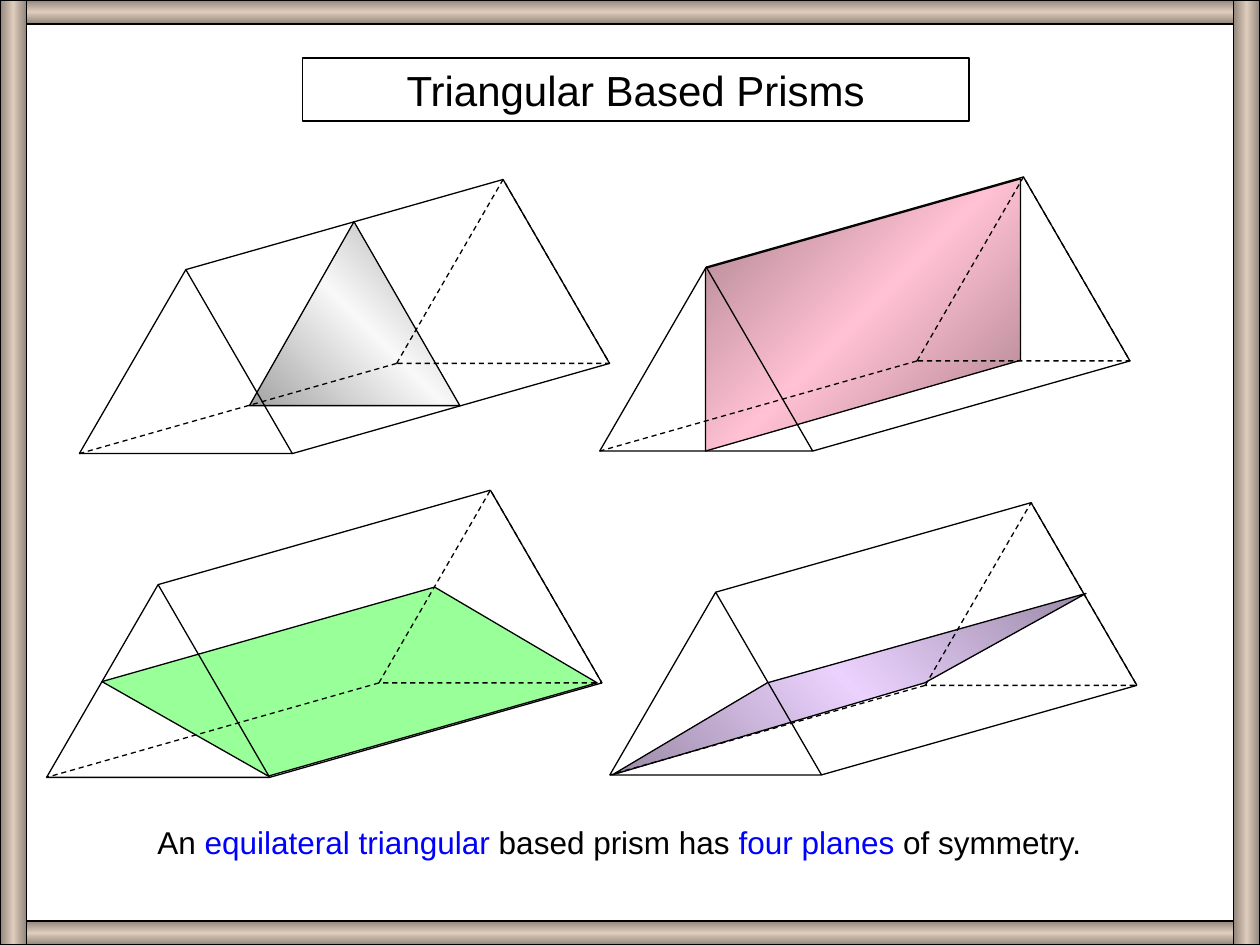
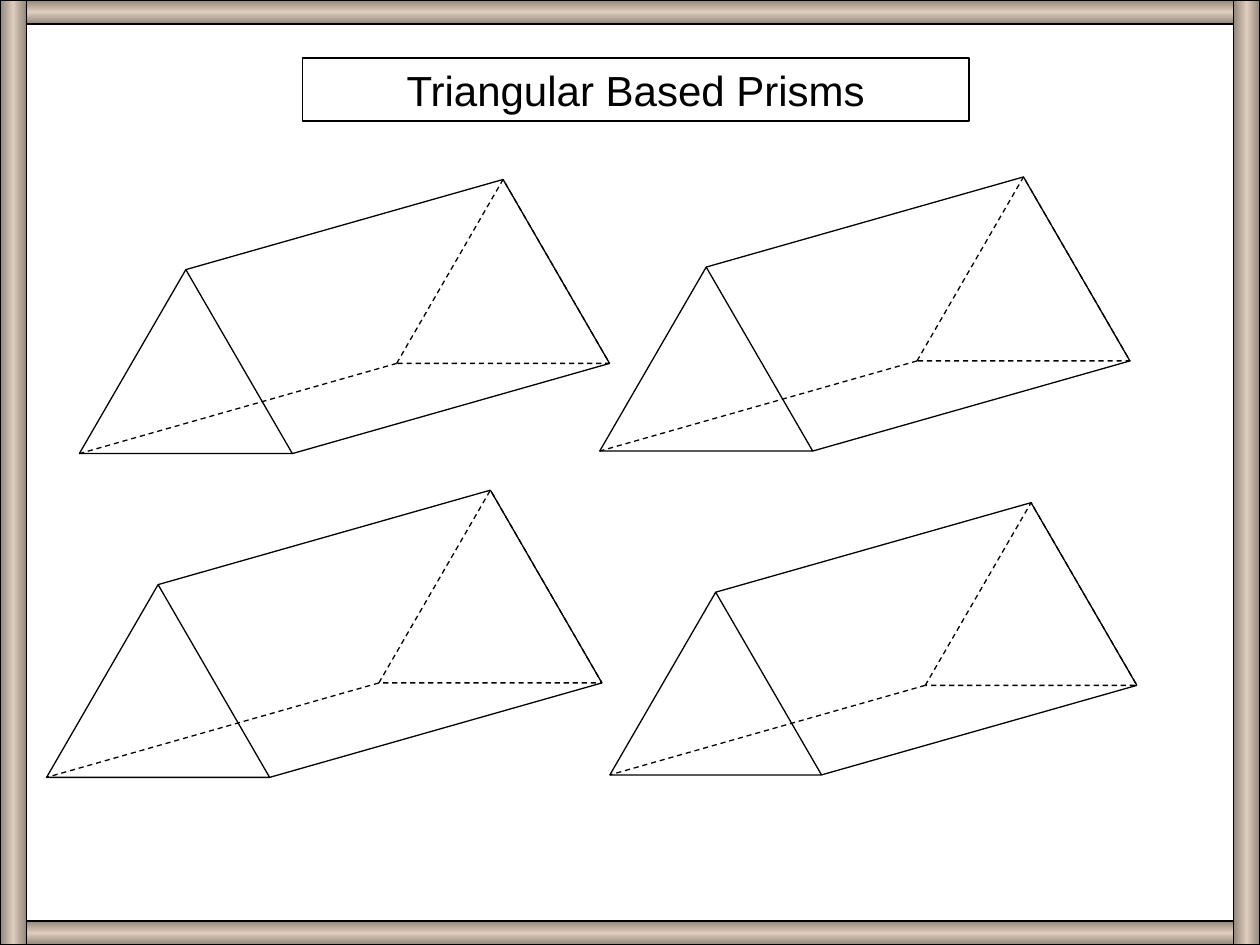
from copy import deepcopy
from dataclasses import dataclass
from typing import Optional

from lxml.etree import SubElement
from pptx import Presentation
from pptx.dml.color import RGBColor
from pptx.enum.dml import MSO_LINE_DASH_STYLE as Dash
from pptx.enum.shapes import MSO_CONNECTOR_TYPE as ConnectorType, MSO_SHAPE as Shape
from pptx.enum.text import MSO_ANCHOR as Anchor, MSO_AUTO_SIZE as AutoSize, PP_ALIGN as Align
from pptx.oxml.ns import qn
from pptx.util import Inches, Pt

FONT = "Arial"
BLACK = RGBColor(0x00, 0x00, 0x00)
BLUE = RGBColor(0x00, 0x00, 0xFF)
FRAME_EDGE = RGBColor(0x92, 0x86, 0x7C)
FRAME_MIDDLE = RGBColor(0xDE, 0xCC, 0xBC)
GREY_EDGE = RGBColor(0xA3, 0xA3, 0xA3)
GREY_MIDDLE = RGBColor(0xF8, 0xF8, 0xF8)
PINK_EDGE = RGBColor(0xA8, 0x7F, 0x8B)
PINK_MIDDLE = RGBColor(0xFF, 0xC1, 0xD3)
GREEN = RGBColor(0x99, 0xFF, 0x99)
VIOLET_EDGE = RGBColor(0x9B, 0x8A, 0xA7)
VIOLET_MIDDLE = RGBColor(0xEB, 0xD2, 0xFE)

SLIDE_WIDTH, SLIDE_HEIGHT = 10, 7.5
BAND_HEIGHT, BAND_WIDTH = 0.19, 0.21
# Offset of a prism's back face, as a share of its front face's size
DEPTH_X, DEPTH_Y = 1.49, -0.49

Point = tuple[float, float]


@dataclass(frozen=True)
class Gradient:
    """A gradient with equal ends; the angle runs clockwise in degrees."""
    edge: RGBColor
    middle: RGBColor
    angle: int


@dataclass(frozen=True)
class SymmetryPlane:
    corners: list[Point]
    paint: Gradient | RGBColor


@dataclass(frozen=True)
class Prism:
    """A prism placed by the box of its front triangle."""
    left: float
    top: float
    width: float
    height: float
    plane: SymmetryPlane


PRISMS = [
    Prism(0.63, 2.14, 1.69, 1.46, SymmetryPlane(
        [(1.98, 3.22), (2.81, 1.76), (3.65, 3.22)],
        Gradient(GREY_EDGE, GREY_MIDDLE, 135))),
    Prism(4.76, 2.12, 1.69, 1.46, SymmetryPlane(
        [(5.6, 2.13), (5.6, 3.58), (8.1, 2.86), (8.1, 1.42)],
        Gradient(PINK_EDGE, PINK_MIDDLE, 225))),
    Prism(0.37, 4.64, 1.77, 1.53, SymmetryPlane(
        [(0.81, 5.41), (3.45, 4.66), (4.74, 5.42), (2.13, 6.16)], GREEN)),
    Prism(4.84, 4.7, 1.68, 1.45, SymmetryPlane(
        [(6.09, 5.42), (8.62, 4.71), (7.34, 5.42), (4.86, 6.15)],
        Gradient(VIOLET_EDGE, VIOLET_MIDDLE, 135))),
]
CAPTION = [
    ("An ", BLACK),
    ("equilateral triangular", BLUE),
    (" based prism has ", BLACK),
    ("four planes", BLUE),
    (" of symmetry.", BLACK),
]


def style_line(line, dashed: bool = False) -> None:
    line.color.rgb = BLACK
    line.width = Pt(0.75)
    if dashed:
        line.dash_style = Dash.DASH


def style_shape(shape, paint: Optional[Gradient | RGBColor] = None, dashed: bool = False) -> None:
    shape.shadow.inherit = False
    style_line(shape.line, dashed)
    if paint is None:
        shape.fill.background()
    elif isinstance(paint, Gradient):
        shape.fill.gradient()
        shape.fill.gradient_angle = 360 - paint.angle
        for stop in shape.fill.gradient_stops:
            stop.color.rgb = paint.edge
        first = next(shape.element.spPr.iter(qn("a:gs")))
        middle = deepcopy(first)
        middle.set("pos", "50000")
        middle.find(qn("a:srgbClr")).set("val", str(paint.middle))
        first.addnext(middle)
    else:
        shape.fill.solid()
        shape.fill.fore_color.rgb = paint


def style_font(font, size: int, color: RGBColor) -> None:
    font.name = FONT
    font.size = Pt(size)
    font.color.rgb = color


def add_frame(slide) -> None:
    """Draw the four bands around the slide edge."""
    across = Gradient(FRAME_EDGE, FRAME_MIDDLE, 90)
    down = Gradient(FRAME_EDGE, FRAME_MIDDLE, 180)
    bands = [
        (0, 0, SLIDE_WIDTH, BAND_HEIGHT, across),
        (0, SLIDE_HEIGHT - BAND_HEIGHT, SLIDE_WIDTH, BAND_HEIGHT, across),
        (0, 0, BAND_WIDTH, SLIDE_HEIGHT, down),
        (SLIDE_WIDTH - BAND_WIDTH, 0, BAND_WIDTH, SLIDE_HEIGHT, down),
    ]
    for *box, paint in bands:
        band = slide.shapes.add_shape(Shape.RECTANGLE, *map(Inches, box))
        style_shape(band, paint)


def add_title(slide) -> None:
    title = slide.shapes.title
    title.left, title.top = Inches(2.4), Inches(0.46)
    title.width, title.height = Inches(5.29), Inches(0.5)
    style_line(title.line)
    frame = title.text_frame
    frame.text = "Triangular Based Prisms"
    frame.auto_size = AutoSize.NONE
    frame.vertical_anchor = Anchor.MIDDLE
    frame.paragraphs[0].alignment = Align.CENTER
    style_font(frame.paragraphs[0].runs[0].font, 24, BLACK)


def add_edge(slide, start: Point, end: Point, dashed: bool = False) -> None:
    edge = slide.shapes.add_connector(
        ConnectorType.STRAIGHT, *map(Inches, start + end))
    style_line(edge.line, dashed)
    SubElement(edge.element.spPr, qn("a:effectLst"))


def add_plane(slide, plane: SymmetryPlane) -> None:
    first, *others = [(Inches(x), Inches(y)) for x, y in plane.corners]
    builder = slide.shapes.build_freeform(*first)
    builder.add_line_segments(others, close=True)
    style_shape(builder.convert_to_shape(), plane.paint)


def add_prism(slide, prism: Prism) -> None:
    dx, dy = prism.width * DEPTH_X, prism.height * DEPTH_Y
    base = prism.top + prism.height
    front = [(prism.left, base),
             (prism.left + prism.width / 2, prism.top),
             (prism.left + prism.width, base)]
    back = [(x + dx, y + dy) for x, y in front]

    for shift_x, shift_y, hidden in [(0, 0, False), (dx, dy, True)]:
        face = slide.shapes.add_shape(
            Shape.ISOSCELES_TRIANGLE,
            Inches(prism.left + shift_x), Inches(prism.top + shift_y),
            Inches(prism.width), Inches(prism.height))
        style_shape(face, dashed=hidden)
    for near, far, hidden in zip(front, back, (True, False, False)):
        add_edge(slide, far, near, hidden)
    add_edge(slide, back[1], back[2])


def add_caption(slide) -> None:
    box = slide.shapes.add_textbox(Inches(1.15), Inches(6.48), Inches(7.79), Inches(0.4))
    box.text_frame.word_wrap = True
    paragraph = box.text_frame.paragraphs[0]
    for words, color in CAPTION:
        run = paragraph.add_run()
        run.text = words
        style_font(run.font, 18, color)


def add_prism_slide(deck, solved: bool) -> None:
    """Add a slide of prisms; a solved one shows the planes and the caption."""
    slide = deck.slides.add_slide(deck.slide_layouts[5])
    add_title(slide)
    add_frame(slide)
    for prism in PRISMS:
        if solved:
            add_plane(slide, prism.plane)
        add_prism(slide, prism)
    if solved:
        add_caption(slide)


def main() -> None:
    deck = Presentation()
    deck.slide_width, deck.slide_height = Inches(SLIDE_WIDTH), Inches(SLIDE_HEIGHT)
    for solved in (True, False):
        add_prism_slide(deck, solved)
    deck.save("out.pptx")


if __name__ == "__main__":
    main()
